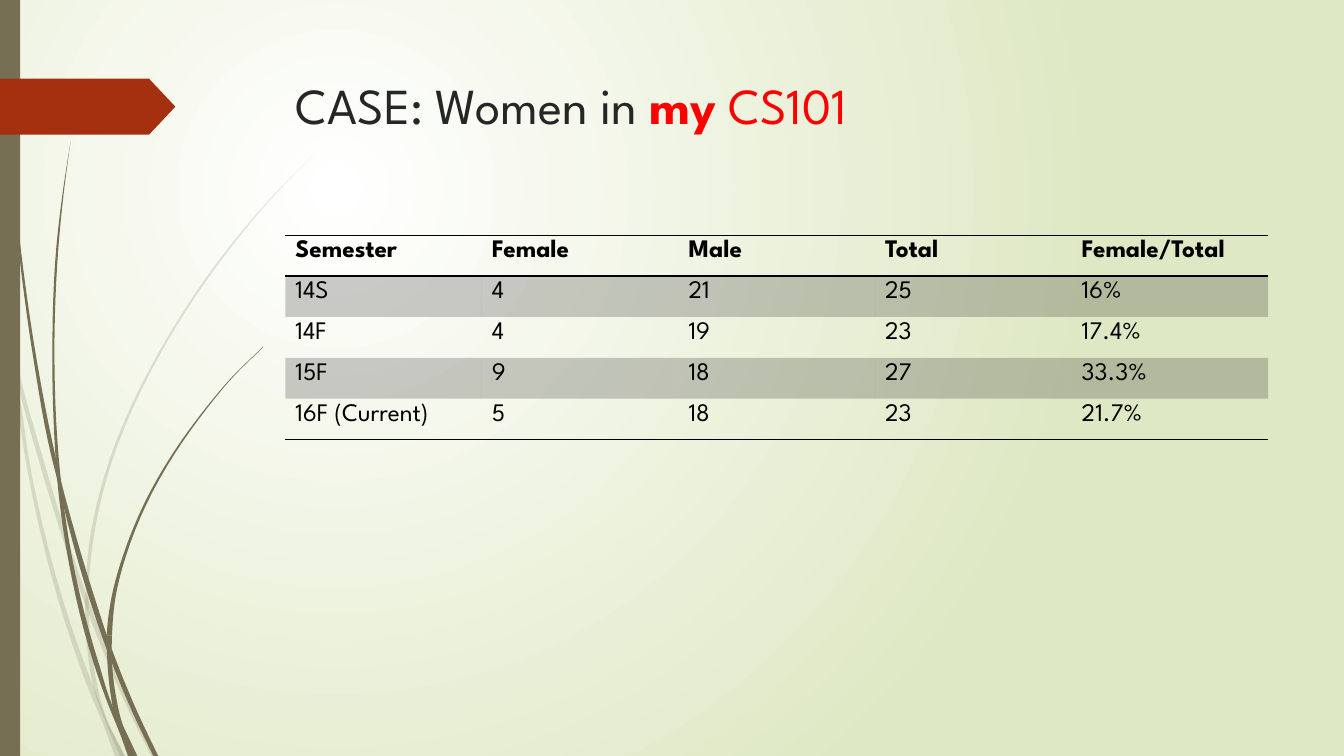
from pptx import Presentation
from pptx.dml.color import RGBColor
from pptx.enum.shapes import MSO_SHAPE
from pptx.enum.text import MSO_ANCHOR, MSO_AUTO_SIZE, PP_ALIGN
from pptx.oxml.ns import qn
from pptx.util import Pt
from lxml.etree import SubElement

FONT = "League Spartan"
WHITE = RGBColor(0xFF, 0xFF, 0xFF)
PALE_GREEN = RGBColor(0xDF, 0xE8, 0xC4)
OLIVE = RGBColor(0x76, 0x6F, 0x54)
RUST = RGBColor(0xA5, 0x30, 0x10)
CHARCOAL = RGBColor(0x26, 0x26, 0x26)
RED = RGBColor(0xFF, 0x00, 0x00)
BLACK = RGBColor(0x00, 0x00, 0x00)

NO_GRID_STYLE = "{2D5ABB26-0587-4C30-8999-92F81FD0307C}"
CURVE_STEPS = 6

# Each blade of grass has the heights of its joints, then its stations:
# (height on slide, left edge, right edge).
FAINT_BLADES = [
    ((252, 431),
     [(203, 0, 0), (215, 0, 3), (252, 8, 11), (271, 12, 15), (323, 26, 29.5),
      (376, 42, 45.5), (431, 60.5, 64), (499, 88, 92), (540, 108, 111.6)]),
    ((514,),
     [(252, 8, 8), (271, 10, 12), (338, 20, 22.5), (446, 47, 50.5),
      (499, 66, 70), (514, 72.5, 76), (540, 82, 89)]),
    ((420, 439, 512),
     [(110, 224.5, 224.5), (142, 193, 193.7), (176, 164, 165.5),
      (251, 113.8, 115.5), (332, 77, 79.2), (390, 63.5, 66), (420, 61.2, 63.4),
      (439, 60.8, 63.4), (465, 62.6, 65.5), (492, 67, 70), (512, 74, 75.6),
      (540, 85.7, 89.3)]),
]
SOLID_BLADES = [
    ((343, 464),
     [(0, 2.2, 2.9), (79, 5, 5.8), (168, 12.2, 13.7), (256, 23.8, 26),
      (326, 36.7, 39.6), (343, 41, 43.5), (364, 46, 49), (425, 63, 67),
      (464, 76.3, 80), (509, 94.7, 98.3), (540, 109.5, 113)]),
    ((340, 520),
     [(101, 50.4, 50.4), (139, 44.6, 45.4), (176, 40.3, 41.8), (251, 37.4, 38.9),
      (325, 39.6, 41.8), (340, 40.7, 43.2), (364, 43.2, 46), (401, 49, 52),
      (474, 67, 70.6), (510, 80, 83), (520, 84.2, 88.5), (540, 91.4, 98)]),
    ((454, 472, 518),
     [(248, 187.5, 188), (269, 166, 166.7), (292, 146.5, 147.6),
      (342, 112.3, 114), (397, 87.8, 90), (425, 80, 82.8), (454, 76.3, 80),
      (472, 76.7, 80), (497, 79.2, 82.8), (518, 83.5, 87.8), (540, 93.6, 98)]),
]

ROWS = [
    ("Semester", "Female", "Male", "Total", "Female/Total"),
    ("14S", "4", "21", "25", "16%"),
    ("14F", "4", "19", "23", "17.4%"),
    ("15F", "9", "18", "27", "33.3%"),
    ("16F (Current)", "5", "18", "23", "21.7%"),
]


def add_run(para, text, size, color, bold=False):
    """Add one formatted run to a paragraph."""
    span = para.add_run()
    span.text = text
    span.font.name = FONT
    span.font.size = Pt(size)
    span.font.bold = bold
    span.font.color.rgb = color


def set_opacity(element, percent):
    """Make the first solid colour below an element translucent."""
    color = element.find(".//" + qn("a:solidFill") + "/" + qn("a:srgbClr"))
    SubElement(color, qn("a:alpha"), val=str(percent * 1000))


def paint(shape, color):
    """Give a shape a plain fill without line or shadow."""
    shape.shadow.inherit = False
    shape.fill.solid()
    shape.fill.fore_color.rgb = color
    shape.line.fill.background()


def paint_background(page):
    """Fill the page with a glow centred in the upper left."""
    fill = page.background.fill
    fill.gradient()
    for stop, color in zip(fill.gradient_stops, (WHITE, PALE_GREEN)):
        stop.color.rgb = color
    gradient = page.element.find(".//" + qn("p:bgPr") + "/" + qn("a:gradFill"))
    gradient.remove(gradient.find(qn("a:lin")))
    glow = SubElement(gradient, qn("a:path"), {"path": "circle"})
    SubElement(glow, qn("a:fillToRect"), l="50000", t="50000", r="100000", b="100000")


def edge_slopes(heights, edge):
    """Return the slope of an edge at each height, weighted by spacing."""
    gaps = [b - a for a, b in zip(heights, heights[1:])]
    chords = [(b - a) / gap for a, b, gap in zip(edge, edge[1:], gaps)]
    inner = [(after * gap + before * next_gap) / (gap + next_gap)
             for before, after, gap, next_gap
             in zip(chords[1:], chords, gaps[1:], gaps)]
    return [chords[0], *inner, chords[-1]]


def smooth_edge(heights, edge):
    """Return edge positions on a cubic curve through the stations."""
    slopes = edge_slopes(heights, edge)
    curve = []
    for i, gap in enumerate(b - a for a, b in zip(heights, heights[1:])):
        for step in range(CURVE_STEPS):
            t = step / CURVE_STEPS
            rise = t * t * (3 - 2 * t)
            bend = t * (1 - t) * ((1 - t) * slopes[i] - t * slopes[i + 1])
            curve.append(edge[i] + rise * (edge[i + 1] - edge[i]) + gap * bend)
    return curve + [edge[-1]]


def add_blade(page, joints, stations, opacity=100):
    """Draw one curved blade of grass, split at its joints."""
    heights, left, right = zip(*stations)
    levels = [a + (b - a) * step / CURVE_STEPS
              for a, b in zip(heights, heights[1:]) for step in range(CURVE_STEPS)]
    levels.append(heights[-1])
    curve = list(zip(levels, smooth_edge(heights, left), smooth_edge(heights, right)))
    cuts = [heights[0], *joints, heights[-1]]
    for top, bottom in zip(cuts, cuts[1:]):
        part = [point for point in curve if top <= point[0] <= bottom]
        outline = [(Pt(x), Pt(y)) for y, x, _ in part]
        outline += [(Pt(x), Pt(y)) for y, _, x in reversed(part)]
        builder = page.shapes.build_freeform(*outline[0])
        builder.add_line_segments(outline[1:], close=True)
        blade = builder.convert_to_shape()
        paint(blade, OLIVE)
        if opacity < 100:
            set_opacity(blade.element, opacity)


def add_block(page, kind, left, top, width, height, color):
    """Add a plain preset shape."""
    block = page.shapes.add_shape(kind, Pt(left), Pt(top), Pt(width), Pt(height))
    paint(block, color)
    return block


def format_title(page):
    """Place the title and write its runs."""
    box = page.shapes.title
    box.left, box.top, box.width, box.height = Pt(204.2), Pt(49), Pt(702), Pt(101)
    frame = box.text_frame
    frame.word_wrap = True
    frame.auto_size = MSO_AUTO_SIZE.NONE
    frame.vertical_anchor = MSO_ANCHOR.TOP
    para = frame.paragraphs[0]
    para.alignment = PP_ALIGN.LEFT
    add_run(para, "CASE: Women in ", 36, CHARCOAL)
    add_run(para, "my", 36, RED, bold=True)
    add_run(para, " CS101", 36, RED)


def add_border(cell, side):
    """Draw a thin black border on one side of a cell."""
    line = SubElement(cell._tc.get_or_add_tcPr(), qn("a:" + side), w=str(Pt(1)))
    fill = SubElement(line, qn("a:solidFill"))
    SubElement(fill, qn("a:srgbClr"), val=str(BLACK))


def add_semester_table(page):
    """Add the enrolment table with its rules and shaded rows."""
    frame = page.shapes.add_table(len(ROWS), len(ROWS[0]),
                                  Pt(203.8), Pt(168), Pt(702), Pt(146))
    table = frame.table
    table.first_row = table.horz_banding = False
    frame.element.find(".//" + qn("a:tableStyleId")).text = NO_GRID_STYLE
    borders = {0: ("lnT", "lnB"), len(ROWS) - 1: ("lnB",)}
    for row, values in enumerate(ROWS):
        for column, value in enumerate(values):
            cell = table.cell(row, column)
            add_run(cell.text_frame.paragraphs[0], value, 18, BLACK, bold=row == 0)
            for side in borders.get(row, ()):
                add_border(cell, side)
            if row % 2:
                cell.fill.solid()
                cell.fill.fore_color.rgb = BLACK
                set_opacity(cell._tc.tcPr, 20)
            else:
                cell.fill.background()


def main():
    """Build the slide and save it."""
    deck = Presentation()
    deck.slide_width, deck.slide_height = Pt(960), Pt(540)
    page = deck.slides.add_slide(deck.slide_layouts[5])
    paint_background(page)
    for blades, opacity in ((FAINT_BLADES, 20), (SOLID_BLADES, 100)):
        for joints, stations in blades:
            add_blade(page, joints, stations, opacity)
    add_block(page, MSO_SHAPE.RECTANGLE, 0, 0, 14.4, 540, OLIVE)
    arrow = add_block(page, MSO_SHAPE.PENTAGON, 0, 56.2, 125.3, 40, RUST)
    arrow.adjustments[0] = 0.47
    format_title(page)
    add_semester_table(page)
    deck.save("out.pptx")


main()
